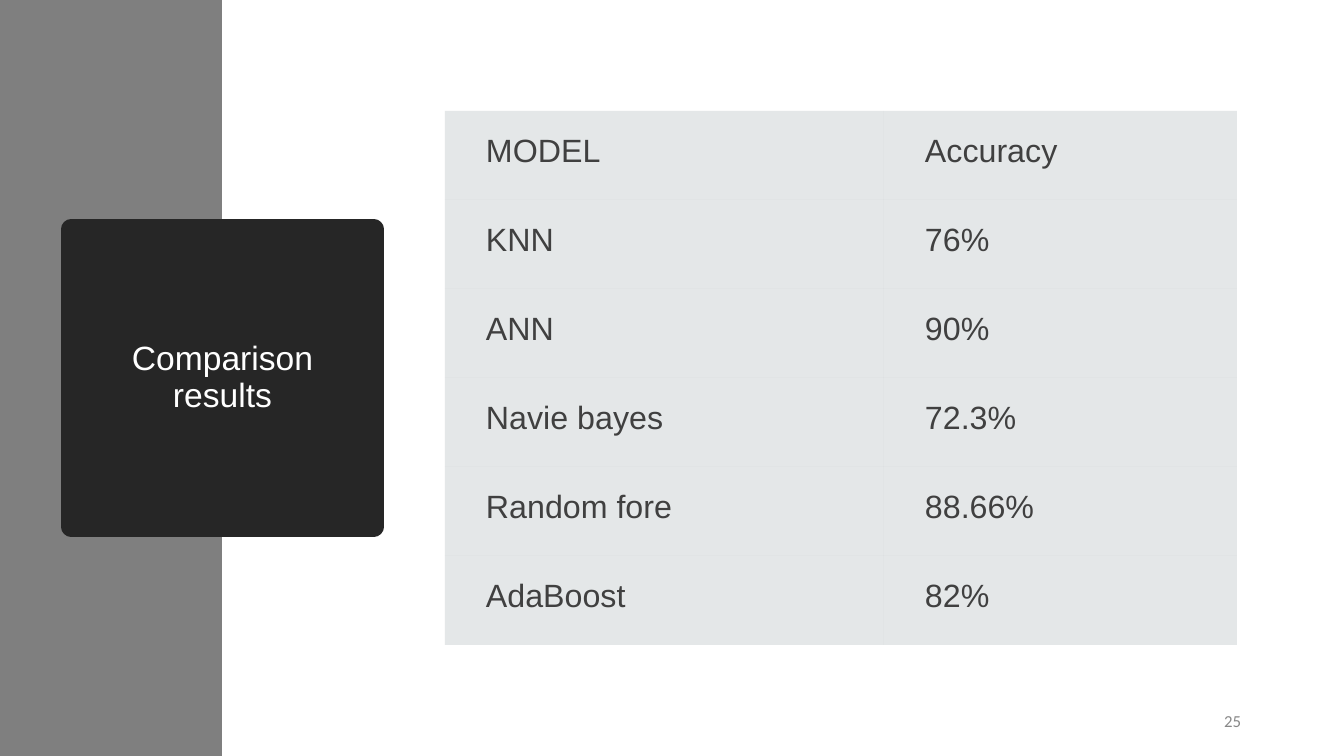
from lxml import etree
from pptx import Presentation
from pptx import util as u
from pptx.dml.color import RGBColor
from pptx.enum import text
from pptx.enum.shapes import MSO_SHAPE
from pptx.oxml.ns import qn

EMU_PER_PX = 914400 / 100.8
SLIDE_WIDTH, SLIDE_HEIGHT = 1344, 756

WHITE = RGBColor(0xFF, 0xFF, 0xFF)
BAND_GRAY = RGBColor(0x7F, 0x7F, 0x7F)
TITLE_BLACK = RGBColor(0x26, 0x26, 0x26)
CELL_GRAY = RGBColor(0xB4, 0xBC, 0xBE)
CELL_TEXT = RGBColor(0x40, 0x40, 0x40)
NUMBER_GRAY = RGBColor(0x88, 0x88, 0x88)

RESULTS = [
    ("MODEL", "Accuracy"),
    ("KNN", "76%"),
    ("ANN", "90%"),
    ("Navie bayes", "72.3%"),
    ("Random fore", "88.66%"),
    ("AdaBoost", "82%"),
]
COLUMN_WIDTHS = (439, 353)
ROW_HEIGHT = 89


def px(length):
    return u.Emu(round(length * EMU_PER_PX))


def write(text_frame, content, size, color, font="Arial", align=text.PP_ALIGN.LEFT):
    text_frame.text = content
    paragraph = text_frame.paragraphs[0]
    paragraph.alignment = align
    run_font = paragraph.runs[0].font
    run_font.name = font
    run_font.size = u.Pt(size)
    run_font.bold = False
    run_font.color.rgb = color
    return paragraph


def add_band(slide):
    """Add the side band behind the title."""
    band = slide.shapes.add_shape(MSO_SHAPE.RECTANGLE, 0, 0, px(222), px(SLIDE_HEIGHT))
    band.shadow.inherit = False
    band.fill.solid()
    band.fill.fore_color.rgb = BAND_GRAY
    band.line.fill.background()
    slide.shapes.title.element.addprevious(band.element)


def format_title(title, content):
    title.left, title.top, title.width, title.height = px(71), px(229), px(303), px(298)
    title.fill.solid()
    title.fill.fore_color.rgb = TITLE_BLACK
    title.line.color.rgb = TITLE_BLACK
    title.line.width = u.Pt(13.75)
    etree.SubElement(title.element.spPr.find(qn("a:ln")), qn("a:round"))
    frame = title.text_frame
    frame.word_wrap = True
    frame.auto_size = text.MSO_AUTO_SIZE.NONE
    frame.vertical_anchor = text.MSO_ANCHOR.MIDDLE
    paragraph = write(frame, content, 24, WHITE, align=text.PP_ALIGN.CENTER)
    paragraph.line_spacing = 0.9


def format_cell(cell, content):
    """Fill a cell with 35 % gray, without borders."""
    cell.margin_left = px(41)
    cell.margin_top = cell.margin_right = cell.margin_bottom = px(22)
    write(cell.text_frame, content, 23, CELL_TEXT)
    cell.fill.solid()
    cell.fill.fore_color.rgb = CELL_GRAY
    properties = cell._tc.get_or_add_tcPr()
    color = properties.find(qn("a:solidFill")).find(qn("a:srgbClr"))
    etree.SubElement(color, qn("a:alpha"), val="35000")
    for position, side in enumerate(("a:lnL", "a:lnR", "a:lnT", "a:lnB")):
        border = etree.Element(qn(side), w="0")
        etree.SubElement(border, qn("a:noFill"))
        properties.insert(position, border)


def add_results_table(slide):
    table = slide.shapes.add_table(
        len(RESULTS), len(COLUMN_WIDTHS), px(445), px(111),
        px(sum(COLUMN_WIDTHS)), px(ROW_HEIGHT * len(RESULTS)),
    ).table
    table.first_row = table.horz_banding = False
    for column, width in zip(table.columns, COLUMN_WIDTHS):
        column.width = px(width)
    for row, values in zip(table.rows, RESULTS):
        row.height = px(ROW_HEIGHT)
        for cell, value in zip(row.cells, values):
            format_cell(cell, value)


def add_slide_number(slide, number):
    box = slide.shapes.add_textbox(px(949), px(701), px(302), px(40))
    frame = box.text_frame
    frame.word_wrap = True
    frame.vertical_anchor = text.MSO_ANCHOR.MIDDLE
    write(frame, number, 12, NUMBER_GRAY, "Calibri", text.PP_ALIGN.RIGHT)


def main():
    presentation = Presentation()
    presentation.slide_width = px(SLIDE_WIDTH)
    presentation.slide_height = px(SLIDE_HEIGHT)
    title_only = presentation.slide_layouts[5]
    slide = presentation.slides.add_slide(title_only)
    add_band(slide)
    format_title(slide.shapes.title, "Comparison results")
    add_results_table(slide)
    add_slide_number(slide, "25")
    presentation.save("out.pptx")


if __name__ == "__main__":
    main()
